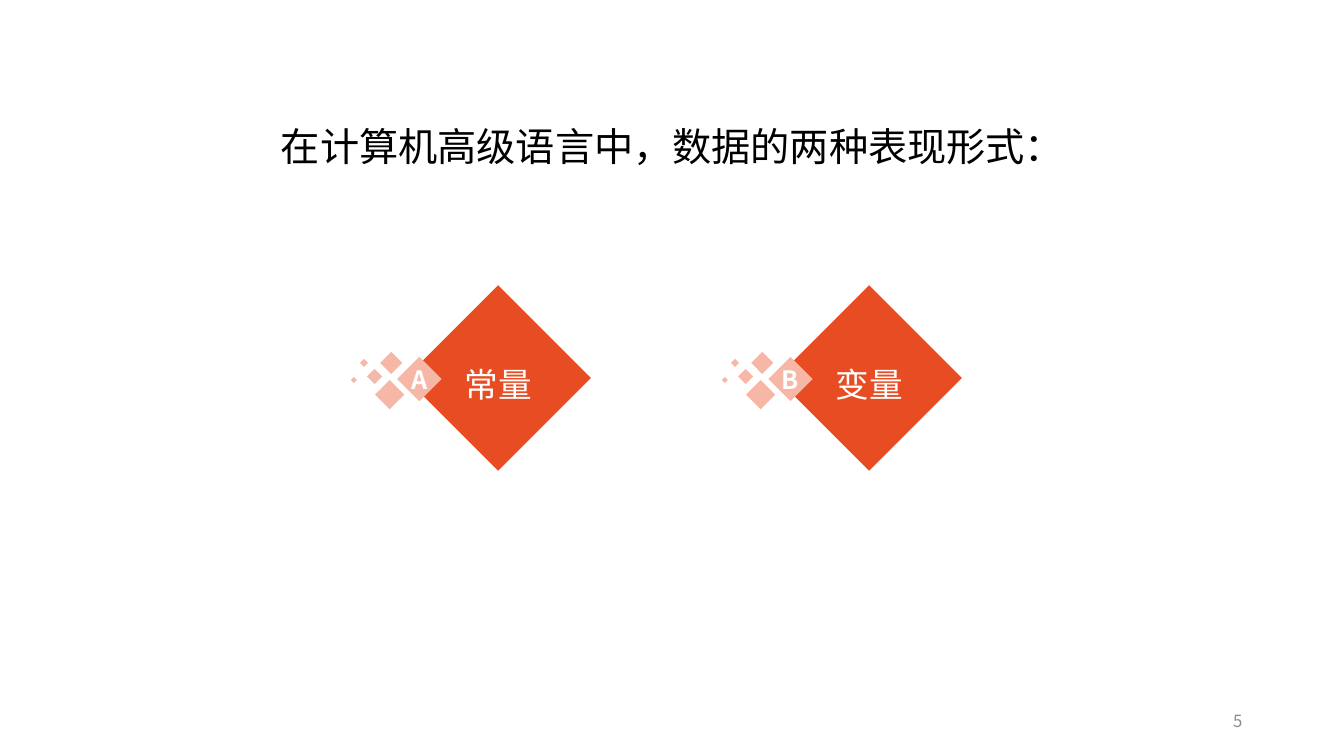
from dataclasses import dataclass

from lxml import etree
from pptx import Presentation
from pptx import util as u
from pptx.dml.color import RGBColor
from pptx.enum import shapes, text
from pptx.oxml import ns


@dataclass(frozen=True)
class Theme:
    font: str = "Noto Sans CJK SC"
    black: str = "000000"
    white: str = "FFFFFF"
    grey: str = "8C8C8C"
    orange: str = "E84C22"
    pale: str = "F6B7A7"
    title_size: int = 28
    label_size: int = 24
    letter_size: int = 18
    number_size: int = 12


THEME = Theme()
WIDTH, HEIGHT = 13.33, 7.5
ITEMS = [("A", "常量"), ("B", "变量")]
ITEM_LEFT, ITEM_TOP, ITEM_PITCH = 3.48, 2.83, 3.68
DIAMOND = 1.84

# Small diamonds: left and top within the item, and side
BADGE = (0.46, 0.71, 0.44)
SPARKS = [
    (0.24, 0.94, 0.29),
    (0.29, 0.66, 0.22),
    (0.16, 0.83, 0.15),
    (0.09, 0.73, 0.08),
    (0, 0.91, 0.06),
]


def write(shape, words, size, color, align, spacing=1.0, bold=False):
    """Put one styled, vertically centred paragraph into a shape."""
    frame = shape.text_frame
    frame.word_wrap = True
    frame.vertical_anchor = text.MSO_ANCHOR.MIDDLE
    paragraph = frame.paragraphs[0]
    paragraph.text = words
    paragraph.alignment = align
    paragraph.line_spacing = spacing
    font = paragraph.font
    font.name, font.size, font.bold = THEME.font, u.Pt(size), bold
    font.color.rgb = RGBColor.from_string(color)
    # Chinese characters take the East Asian typeface
    properties = paragraph.runs[0].font._element
    etree.SubElement(properties, ns.qn("a:ea"), typeface=THEME.font)


def add_text(slide, box, words, size, color, align, spacing=1.0):
    shape = slide.shapes.add_textbox(*map(u.Inches, box))
    write(shape, words, size, color, align, spacing)


def add_diamond(slide, left, top, side, color):
    shape = slide.shapes.add_shape(
        shapes.MSO_SHAPE.DIAMOND, *map(u.Inches, (left, top, side, side)))
    shape.shadow.inherit = False
    shape.fill.solid()
    shape.fill.fore_color.rgb = RGBColor.from_string(color)
    shape.line.fill.background()
    frame = shape.text_frame
    frame.margin_left = frame.margin_right = 0
    frame.margin_top = frame.margin_bottom = 0
    return shape


def add_item(slide, left, top, letter, label):
    """Large labelled diamond with a lettered badge and scattered sparks."""
    center = text.PP_ALIGN.CENTER
    large = add_diamond(slide, left + 0.54, top, DIAMOND, THEME.orange)
    write(large, label, THEME.label_size, THEME.white, center, spacing=1.3)
    x, y, side = BADGE
    badge = add_diamond(slide, left + x, top + y, side, THEME.pale)
    write(badge, letter, THEME.letter_size, THEME.white, center, bold=True)
    for x, y, side in SPARKS:
        add_diamond(slide, left + x, top + y, side, THEME.pale)


def build_slide(presentation):
    slide = presentation.slides.add_slide(presentation.slide_layouts[6])
    # Title
    add_text(slide, (0.92, 1.11, 11.5, 0.74),
             "在计算机高级语言中，数据的两种表现形式：",
             THEME.title_size, THEME.black, text.PP_ALIGN.CENTER, 0.9)
    # Two forms of data
    for column, (letter, label) in enumerate(ITEMS):
        add_item(slide, ITEM_LEFT + column * ITEM_PITCH, ITEM_TOP, letter, label)
    # Slide number
    add_text(slide, (9.42, 6.95, 3, 0.4), "5",
             THEME.number_size, THEME.grey, text.PP_ALIGN.RIGHT)


def main():
    presentation = Presentation()
    presentation.slide_width = u.Inches(WIDTH)
    presentation.slide_height = u.Inches(HEIGHT)
    build_slide(presentation)
    presentation.save("out.pptx")


if __name__ == "__main__":
    main()
